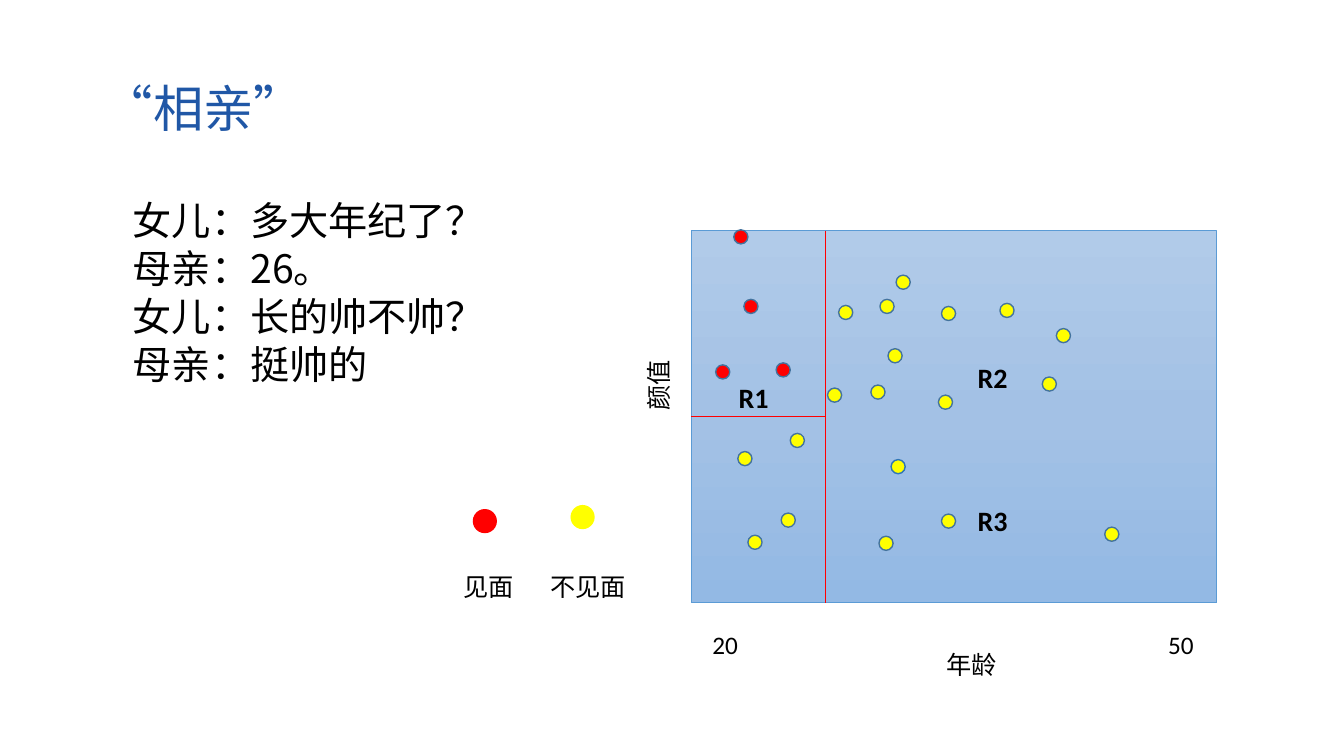
import pptx
import pptx.dml.color
import pptx.enum.dml
import pptx.enum.shapes
import pptx.enum.text
import pptx.oxml
import pptx.oxml.ns
import pptx.util

COLORS = {
    "title": "2057A6",
    "text": "000000",
    "meet": "FF0000",
    "skip": "FFFF00",
    "split": "FF0000",
    "dot_line": "43739E",
    "accent_line": "2E75B6",
    "plot_line": "5B9BD5",
    "plot_top": "B1CBE9",
    "plot_middle": "A3C1E5",
    "plot_bottom": "93B9E4",
}
CHINESE = "Noto Sans CJK SC"
LATIN = "Calibri"
LABEL = {"size": 18, "font": CHINESE}
TICK = {"size": 18, "font": LATIN}
REGION = {"size": 20, "font": LATIN, "bold": True}
DOT = 1.4
LEGEND_DOT = 2.4

DOTS = [
    ("meet", "dot_line", [(73.8, 29.7), (72.8, 22.8), (77, 36), (71, 36.2)]),
    ("skip", "dot_line", [
        (74.2, 53.1), (78.4, 43), (82.1, 38.5), (73.2, 44.8), (103.4, 37.4),
        (77.5, 50.9), (93.4, 51), (88.1, 34.6), (88.9, 27.3), (104.8, 32.6),
        (93.1, 39.2), (83.2, 30.3), (87.2, 53.2), (109.6, 52.3), (93.4, 30.4),
        (86.4, 38.2), (99.2, 30.1), (87.3, 29.7),
    ]),
    ("skip", "accent_line", [(88.4, 45.6)]),
]

LABELS = [
    ("20", (69.7, 61.9, 4.6, 4), TICK),
    ("50", (114.9, 61.9, 4.6, 4), TICK),
    ("年龄", (92.9, 63.9, 7.1, 4), LABEL),
    ("颜值", (61.75, 36.15, 7.1, 4), {**LABEL, "rotation": 270}),
    ("见面", (45, 56.2, 7.1, 4), LABEL),
    ("不见面", (53.6, 56.2, 9.6, 4), LABEL),
    ("R1", (72.3, 37.2, 5.3, 4.4), REGION),
    ("R2", (96, 35.2, 5.3, 4.4), REGION),
    ("R3", (96, 49.4, 5.3, 4.4), REGION),
]


def grid(*steps):
    return [pptx.util.Inches(step / 10) for step in steps]


def color(name):
    return pptx.dml.color.RGBColor.from_string(COLORS[name])


class SlideBuilder:
    def __init__(self, presentation):
        self.slide = presentation.slides.add_slide(presentation.slide_layouts[6])

    def shape(self, kind, box, fill=None, line=None, line_width=1):
        shape = self.slide.shapes.add_shape(kind, *grid(*box))
        shape.shadow.inherit = False
        if fill:
            shape.fill.solid()
            shape.fill.fore_color.rgb = color(fill)
        if line:
            shape.line.color.rgb = color(line)
            shape.line.width = pptx.util.Pt(line_width)
        else:
            shape.line.fill.background()
        return shape

    def plot(self, box):
        plot = self.shape(pptx.enum.shapes.MSO_SHAPE.RECTANGLE, box,
                          line="plot_line", line_width=0.5)
        plot.fill.gradient()
        plot.fill.gradient_angle = 270
        stops = plot.fill._fill._gradFill.find(pptx.oxml.ns.qn("a:gsLst"))
        for stop in list(stops):
            stops.remove(stop)
        for position, name in [(0, "plot_top"), (50, "plot_middle"), (100, "plot_bottom")]:
            stops.append(pptx.oxml.parse_xml(
                f'<a:gs {pptx.oxml.ns.nsdecls("a")} pos="{position * 1000}">'
                f'<a:srgbClr val="{COLORS[name]}"/></a:gs>'))
        return plot

    def dot(self, left, top, size, fill, line=None):
        self.shape(pptx.enum.shapes.MSO_SHAPE.OVAL, (left, top, size, size), fill, line)

    def split(self, start, end):
        connector = self.slide.shapes.add_connector(
            pptx.enum.shapes.MSO_CONNECTOR.STRAIGHT, *grid(*start, *end))
        connector.line.color.rgb = color("split")
        connector.line.width = pptx.util.Pt(1)
        properties = connector._element.spPr
        properties.append(properties.makeelement(pptx.oxml.ns.qn("a:effectLst"), {}))
        return connector

    def text(self, lines, box, size, font, bold=False, fill="text", rotation=0,
             wrap=False, anchor="MIDDLE", spacing=1.0, before=0):
        shape = self.slide.shapes.add_textbox(*grid(*box))
        shape.rotation = rotation
        frame = shape.text_frame
        frame.word_wrap = wrap
        frame.vertical_anchor = pptx.enum.text.MSO_ANCHOR[anchor]
        frame.text = "\n".join(lines)
        font_format = {"size": pptx.util.Pt(size), "name": font, "bold": bold}
        for index, paragraph in enumerate(frame.paragraphs):
            paragraph.line_spacing = spacing
            paragraph.space_before = pptx.util.Pt(before if index else 0)
            for run in paragraph.runs:
                for attribute, value in font_format.items():
                    setattr(run.font, attribute, value)
                run.font.color.rgb = color(fill)
                properties = run._r.get_or_add_rPr()
                properties.set("lang", "zh-CN" if font == CHINESE else "en-US")
                latin = properties.find(pptx.oxml.ns.qn("a:latin"))
                latin.addnext(properties.makeelement(
                    pptx.oxml.ns.qn("a:ea"), {"typeface": font}))


def main():
    presentation = pptx.Presentation()
    presentation.slide_width, presentation.slide_height = grid(133.33, 75)
    builder = SlideBuilder(presentation)

    plot_left, plot_top, plot_width, plot_height = 68.6, 22.9, 52.1, 36.9
    age_split = 81.9
    looks_split = plot_top + plot_height / 2
    plot = builder.plot((plot_left, plot_top, plot_width, plot_height))

    builder.text(["“相亲”"], (9.2, 3.8, 115, 14.5), 36, CHINESE,
                 fill="title", wrap=True, spacing=0.9)
    builder.text(["女儿：多大年纪了？", "母亲：26。", "女儿：长的帅不帅？", "母亲：挺帅的"],
                 (12.2, 19.5, 112, 47.6), 28, CHINESE,
                 wrap=True, anchor="TOP", spacing=0.9, before=4)

    builder.split((age_split, plot_top), (age_split, plot_top + plot_height))
    looks_line = builder.split((plot_left, looks_split), (age_split, looks_split))
    looks_line.begin_connect(plot, 1)

    for content, box, style in LABELS:
        builder.text([content], box, **style)
    for fill, line, places in DOTS:
        for left, top in places:
            builder.dot(left, top, DOT, fill, line)
    builder.dot(46.9, 50.5, LEGEND_DOT, "meet")
    builder.dot(56.6, 50.1, LEGEND_DOT, "skip")

    presentation.save("out.pptx")


if __name__ == "__main__":
    main()
